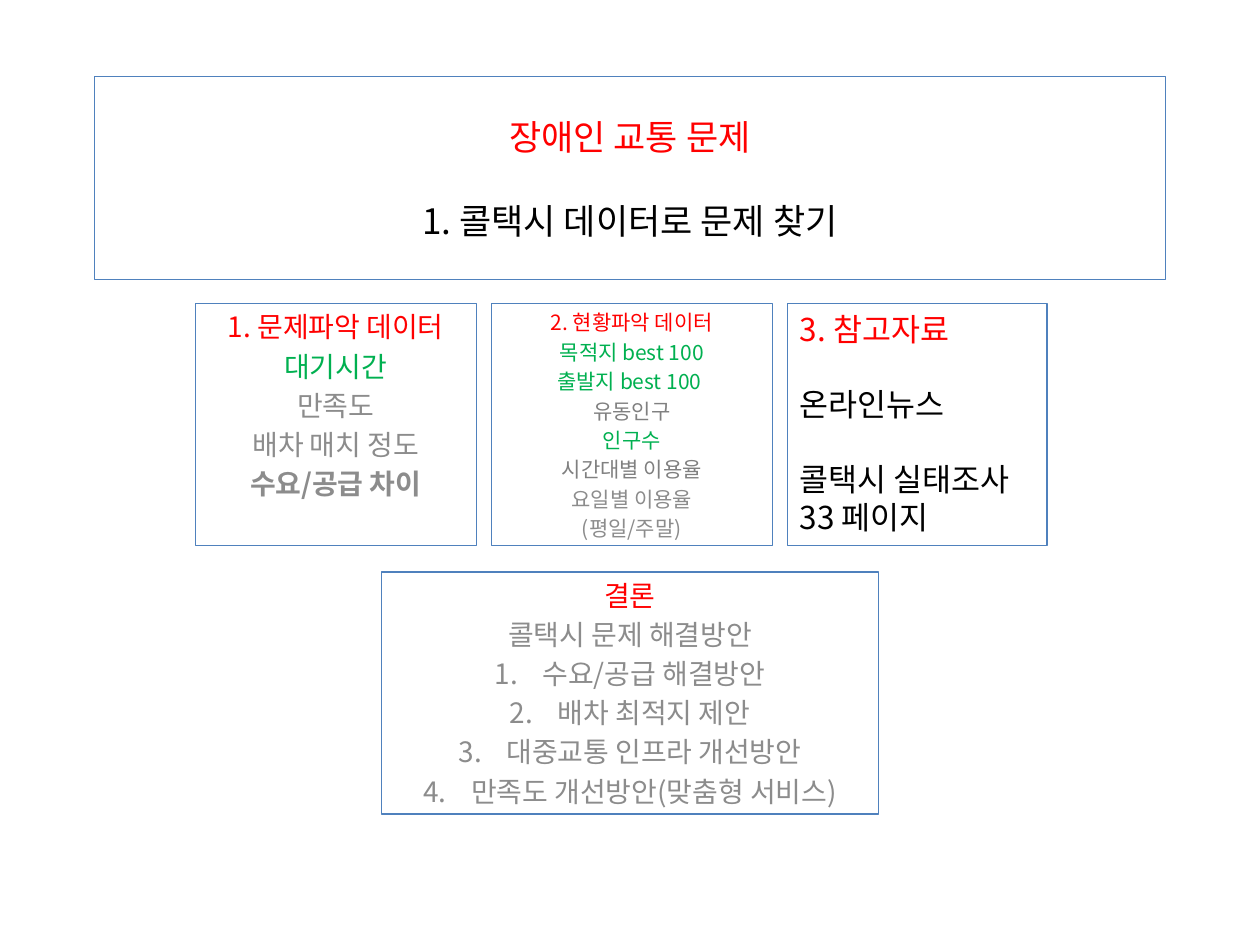
from lxml import etree
from pptx import Presentation, util as u
from pptx.dml.color import RGBColor
from pptx.enum import shapes, text
from pptx.oxml.ns import qn

FONT = "Noto Sans CJK KR"
COLORS = {"red": "FF0000", "green": "00B050", "black": "000000",
          "gray": "808080", "light": "8C8C8C", "border": "4F81BD"}
CENTER, LEFT = text.PP_ALIGN.CENTER, text.PP_ALIGN.LEFT
BOLD, NUMBERED, GAP = "bold", "numbered", "gap"

# Each line: wording, colour, optional style
TOPIC = [("장애인 교통 문제", "red"),
         ("1. 콜택시 데이터로 문제 찾기", "black", GAP)]
PROBLEM_DATA = [("1. 문제파악 데이터", "red"), ("대기시간", "green"),
                ("만족도", "light"), ("배차 매치 정도", "light"),
                ("수요/공급 차이", "light", BOLD)]
STATUS_DATA = [("2. 현황파악 데이터", "red"), ("목적지 best 100", "green"),
               ("출발지 best 100 ", "green"), ("유동인구", "gray"),
               ("인구수", "green"), ("시간대별 이용율", "gray"),
               ("요일별 이용율", "light"), ("(평일/주말)", "light")]
REFERENCES = [("3. 참고자료", "red"), ("온라인뉴스", "black", GAP),
              ("콜택시 실태조사", "black", GAP), ("33 페이지", "black")]
CONCLUSION = [("결론", "red"), ("콜택시 문제 해결방안", "light"),
              ("수요/공급 해결방안", "light", NUMBERED),
              ("배차 최적지 제안", "light", NUMBERED),
              ("대중교통 인프라 개선방안", "light", NUMBERED),
              ("만족도 개선방안(맞춤형 서비스)", "light", NUMBERED)]

SLIDE_W, SLIDE_H = 10, 7.5
COLUMN_LEFT, COLUMN_PITCH = 1.55, 2.35
ROW_TOP, ROW_PITCH, ROW_H = 2.41, 2.13, 1.92
TITLE_W, CONCLUSION_W = 8.5, 3.95


def color(name):
    return RGBColor.from_string(COLORS[name])


def number(paragraph):
    """Turn on automatic 1. 2. 3. numbering with a hanging indent."""
    props = paragraph._p.get_or_add_pPr()
    props.set("marL", str(u.Inches(0.38)))
    props.set("indent", str(u.Inches(-0.38)))
    etree.SubElement(props, qn("a:buFont"), typeface="+mj-lt")
    etree.SubElement(props, qn("a:buAutoNum"), type="arabicPeriod")


def add_box(slide, lines, place, size, align=CENTER, spacing=0.2,
            anchor=text.MSO_ANCHOR.TOP, wrap=True):
    """Add an outlined box; spacing is the gap between lines as a share of size."""
    box = slide.shapes.add_shape(shapes.MSO_SHAPE.RECTANGLE, *map(u.Inches, place))
    box.shadow.inherit = False
    box.fill.background()
    box.line.color.rgb = color("border")
    box.line.width = u.Pt(0.75)
    frame = box.text_frame
    frame.text = "\n".join(line[0] for line in lines)
    frame.word_wrap = wrap
    frame.vertical_anchor = anchor
    for index, (paragraph, (_, tint, *style)) in enumerate(zip(frame.paragraphs, lines)):
        paragraph.alignment = align
        if index:
            share = 1.19 if GAP in style else spacing
            paragraph.space_before = u.Pt(round(size * share, 1))
        if NUMBERED in style:
            number(paragraph)
        run = paragraph.runs[0]
        run.font.name = FONT
        run.font.size = u.Pt(size)
        run.font.bold = BOLD in style
        run.font.color.rgb = color(tint)
        etree.SubElement(run.font._element, qn("a:ea"), typeface=FONT)


def main():
    deck = Presentation()
    deck.slide_width, deck.slide_height = u.Inches(SLIDE_W), u.Inches(SLIDE_H)
    slide = deck.slides.add_slide(deck.slide_layouts[6])

    add_box(slide, TOPIC, ((SLIDE_W - TITLE_W) / 2, 0.61, TITLE_W, 1.61), 20,
            anchor=text.MSO_ANCHOR.MIDDLE)
    columns = [(PROBLEM_DATA, 2.23, 16, {}),
               (STATUS_DATA, 2.23, 12, {}),
               (REFERENCES, 2.06, 18, {"align": LEFT, "spacing": 0, "wrap": False})]
    for index, (lines, width, size, options) in enumerate(columns):
        left = COLUMN_LEFT + index * COLUMN_PITCH
        add_box(slide, lines, (left, ROW_TOP, width, ROW_H), size, **options)
    add_box(slide, CONCLUSION, ((SLIDE_W - CONCLUSION_W) / 2, ROW_TOP + ROW_PITCH,
                                CONCLUSION_W, ROW_H), 16)
    deck.save("out.pptx")


if __name__ == "__main__":
    main()
